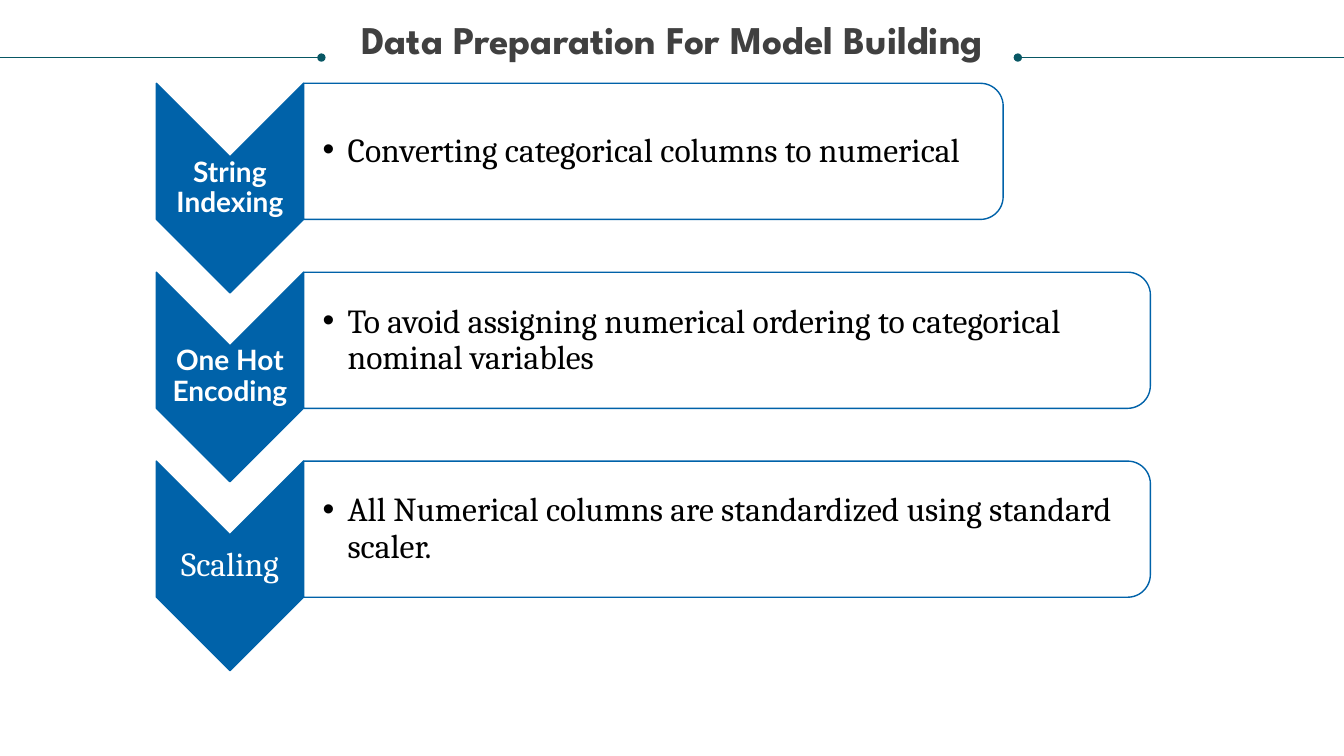
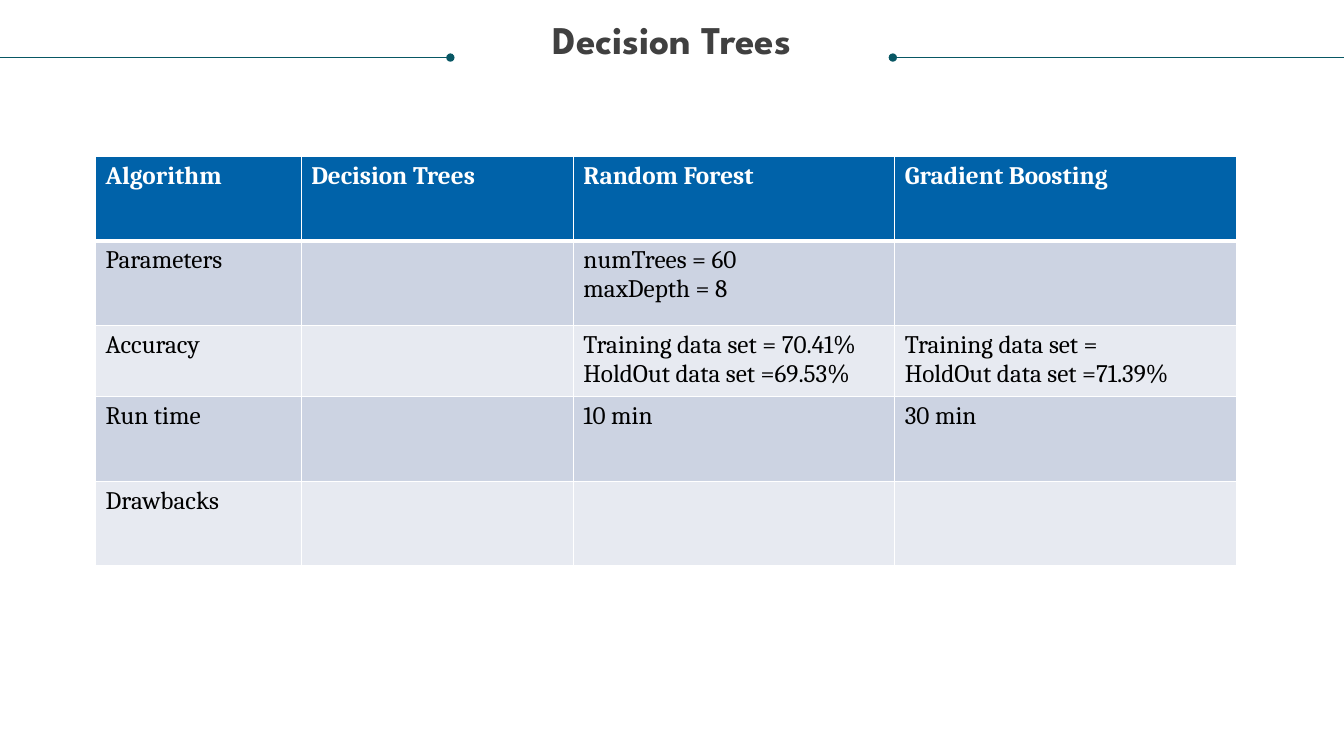
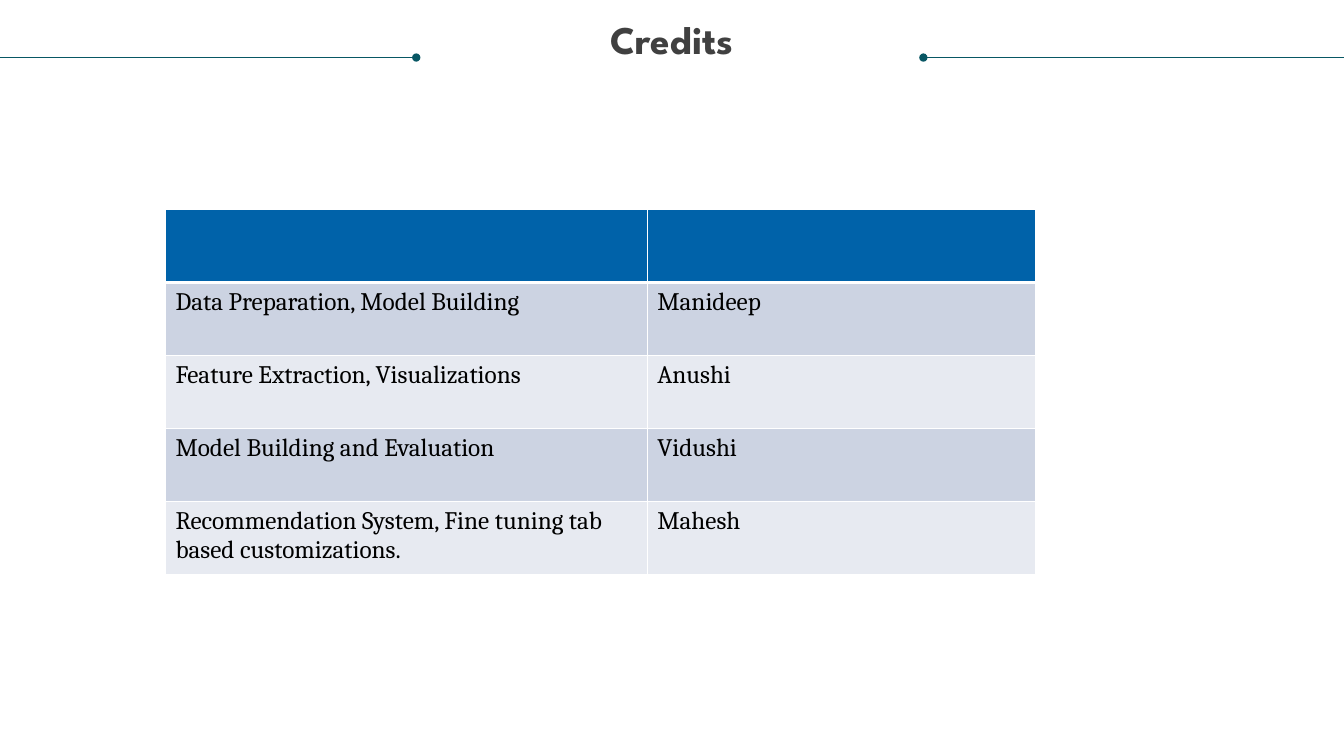
"""Build three slides on model preparation, tree models and credits."""
import dataclasses

import lxml.etree
import pptx
import pptx.dml.color
import pptx.enum.shapes
import pptx.enum.text
import pptx.oxml.ns
import pptx.presentation
import pptx.shapes.autoshape
import pptx.slide
import pptx.table
import pptx.text.text
import pptx.util

Cm = pptx.util.Cm
Pt = pptx.util.Pt
ShapeType = pptx.enum.shapes.MSO_SHAPE
Align = pptx.enum.text.PP_ALIGN
Anchor = pptx.enum.text.MSO_ANCHOR
qn = pptx.oxml.ns.qn

BLUE, TEAL, GREY = "0062A9", "085764", "404040"
WHITE, BLACK = "FFFFFF", "000000"
BANDS = ("CCD3E2", "E7EAF1")
BODY_FONT, LABEL_FONT, TITLE_FONT = "Cambria", "Lato", "League Spartan"
SLIDE_WIDTH, SLIDE_HEIGHT = 33.87, 19.05
RULE_TOP = 1.45


@dataclasses.dataclass(frozen=True)
class Box:
    """Visible frame in centimetres."""
    left: float
    top: float
    width: float
    height: float

    def lengths(self) -> tuple[pptx.util.Length, ...]:
        """Return the frame as slide lengths."""
        return Cm(self.left), Cm(self.top), Cm(self.width), Cm(self.height)


@dataclasses.dataclass(frozen=True)
class Style:
    """Look of a piece of text."""
    font: str
    size: float
    color: str
    bold: bool = False


@dataclasses.dataclass(frozen=True)
class Step:
    """One chevron with its explanation panel."""
    label: str
    label_style: Style
    detail: str
    panel_width: float


@dataclasses.dataclass(frozen=True)
class TableSpec:
    """Place, column widths, row heights and texts of a table."""
    left: float
    top: float
    columns: tuple[float, ...]
    rows: tuple[float, ...]
    texts: tuple[tuple[str, ...], ...]


TITLE = Style(TITLE_FONT, 28, GREY, True)
LABEL = Style(LABEL_FONT, 20, WHITE, True)
LARGE_LABEL = Style(BODY_FONT, 24, WHITE)
DETAIL = Style(BODY_FONT, 24, BLACK)
HEADER_CELL = Style(BODY_FONT, 18, WHITE, True)
BODY_CELL = Style(BODY_FONT, 18, BLACK)

STEPS = (
    Step("String Indexing", LABEL,
         "Converting categorical columns to numerical", 17.63),
    Step("One Hot Encoding", LABEL,
         "To avoid assigning numerical ordering to categorical nominal variables", 21.34),
    Step("Scaling", LARGE_LABEL,
         "All Numerical columns are standardized using standard scaler.", 21.34),
)
STEP_LEFT, STEP_TOP, STEP_PITCH = 3.94, 2.1, 4.76
CHEVRON_WIDTH, CHEVRON_HEIGHT = 3.71, 5.28
LABEL_HEIGHT, PANEL_HEIGHT, PANEL_INSET = 1.6, 3.43, 0.15

ALGORITHMS = TableSpec(
    2.41, 3.94, (5.18, 6.86, 8.1, 8.61), (2.13, 2.13, 1.8, 2.13, 2.13),
    (
        ("Algorithm", "Decision Trees", "Random Forest", "Gradient Boosting"),
        ("Parameters", "", "numTrees = 60\nmaxDepth = 8", ""),
        ("Accuracy", "",
         "Training data set = 70.41%\nHoldOut data set =69.53%",
         "Training data set =\nHoldOut data set =71.39%"),
        ("Run time", "", "10 min", "30 min"),
        ("Drawbacks", "", "", ""),
    ))
CREDITS = TableSpec(
    4.17, 5.28, (12.14, 9.78), (1.84,) * 5,
    (
        ("", ""),
        ("Data Preparation, Model Building", "Manideep"),
        ("Feature Extraction, Visualizations", "Anushi"),
        ("Model Building and Evaluation", "Vidushi"),
        ("Recommendation System, Fine tuning tab based customizations.", "Mahesh"),
    ))


def rgb(color: str) -> pptx.dml.color.RGBColor:
    """Turn a hex string into a colour."""
    return pptx.dml.color.RGBColor.from_string(color)


def format_runs(text_frame: pptx.text.text.TextFrame, style: Style) -> None:
    """Apply a style to every run of a text frame."""
    for paragraph in text_frame.paragraphs:
        for run in paragraph.runs:
            run.font.name = style.font
            run.font.size = Pt(style.size)
            run.font.bold = style.bold
            run.font.color.rgb = rgb(style.color)


def add_text(slide: pptx.slide.Slide, box: Box, text: str, style: Style,
             anchor: Anchor = Anchor.MIDDLE, align: Align = Align.CENTER,
             margin: float = 0, left_margin: float = 0) -> pptx.text.text._Paragraph:
    """Add a wrapped text box and return its paragraph."""
    text_frame = slide.shapes.add_textbox(*box.lengths()).text_frame
    text_frame.word_wrap = True
    text_frame.vertical_anchor = anchor
    text_frame.margin_left = Cm(left_margin or margin)
    text_frame.margin_right = text_frame.margin_top = text_frame.margin_bottom = Cm(margin)
    text_frame.text = text
    paragraph = text_frame.paragraphs[0]
    paragraph.alignment = align
    paragraph.line_spacing = 0.9
    format_runs(text_frame, style)
    return paragraph


def add_bullet(paragraph: pptx.text.text._Paragraph, indent: float) -> None:
    """Give a paragraph a round bullet with a hanging indent."""
    properties = paragraph._p.get_or_add_pPr()
    properties.set("marL", str(Cm(indent)))
    properties.set("indent", str(-Cm(indent)))
    lxml.etree.SubElement(properties, qn("a:buFont")).set("typeface", "Arial")
    lxml.etree.SubElement(properties, qn("a:buChar")).set("char", "\u2022")


def add_rule(slide: pptx.slide.Slide, edge: float, inner: float) -> None:
    """Draw a title rule from a slide edge to a dot beside the title."""
    rule = slide.shapes.add_connector(
        pptx.enum.shapes.MSO_CONNECTOR.STRAIGHT,
        Cm(edge), Cm(RULE_TOP), Cm(inner), Cm(RULE_TOP))
    rule.line.color.rgb = rgb(TEAL)
    rule.line.width = Pt(0.5)
    lxml.etree.SubElement(rule.line._get_or_add_ln(), qn("a:tailEnd")).set("type", "oval")
    lxml.etree.SubElement(rule._element.spPr, qn("a:effectLst"))


def add_titled_slide(presentation: pptx.presentation.Presentation, title: str,
                     left_end: float, right_end: float) -> pptx.slide.Slide:
    """Add a blank slide with its title between two rules."""
    slide = presentation.slides.add_slide(presentation.slide_layouts[6])
    add_rule(slide, SLIDE_WIDTH, right_end)
    add_text(slide, Box(0.64, 0.53, 32.59, 1.07), title, TITLE, Anchor.TOP)
    add_rule(slide, 0, left_end)
    return slide


def add_turned_shape(slide: pptx.slide.Slide, kind: ShapeType, box: Box,
                     fill: str) -> pptx.shapes.autoshape.Shape:
    """Add a shape turned a quarter clockwise that fills the visible box."""
    shift = (box.width - box.height) / 2
    unturned = Box(box.left + shift, box.top - shift, box.height, box.width)
    shape = slide.shapes.add_shape(kind, *unturned.lengths())
    shape.rotation = 90
    shape.shadow.inherit = False
    shape.fill.solid()
    shape.fill.fore_color.rgb = rgb(fill)
    shape.line.color.rgb = rgb(BLUE)
    shape.line.width = Pt(1)
    return shape


def add_step(slide: pptx.slide.Slide, step: Step, top: float) -> None:
    """Draw a chevron, its label and the panel beside it."""
    chevron = Box(STEP_LEFT, top, CHEVRON_WIDTH, CHEVRON_HEIGHT)
    add_turned_shape(slide, ShapeType.CHEVRON, chevron, BLUE)
    label_top = top + (CHEVRON_HEIGHT - LABEL_HEIGHT) / 2
    label = Box(STEP_LEFT, label_top, CHEVRON_WIDTH, LABEL_HEIGHT)
    add_text(slide, label, step.label, step.label_style, margin=0.03)

    panel = Box(STEP_LEFT + CHEVRON_WIDTH, top, step.panel_width, PANEL_HEIGHT)
    add_turned_shape(slide, ShapeType.ROUND_2_SAME_RECTANGLE, panel, WHITE)
    detail = Box(panel.left, top + PANEL_INSET, panel.width - PANEL_INSET,
                 PANEL_HEIGHT - 2 * PANEL_INSET)
    paragraph = add_text(slide, detail, step.detail, DETAIL, align=Align.LEFT,
                         margin=0.05, left_margin=0.48)
    add_bullet(paragraph, 0.63)


def set_borders(cell: pptx.table._Cell, widths: dict[str, float]) -> None:
    """Give a cell white borders, with a width in points for each side."""
    properties = cell._tc.get_or_add_tcPr()
    for side, width in widths.items():
        line = lxml.etree.SubElement(properties, qn(f"a:ln{side}"), w=str(Pt(width)))
        fill = lxml.etree.SubElement(line, qn("a:solidFill"))
        lxml.etree.SubElement(fill, qn("a:srgbClr"), val=WHITE)


def add_banded_table(slide: pptx.slide.Slide, table_spec: TableSpec) -> None:
    """Add a table with a blue header and two alternating row colours."""
    box = Box(table_spec.left, table_spec.top, sum(table_spec.columns), sum(table_spec.rows))
    table = slide.shapes.add_table(
        len(table_spec.rows), len(table_spec.columns), *box.lengths()).table
    table.horz_banding = False
    for column, width in zip(table.columns, table_spec.columns):
        column.width = Cm(width)
    for row_index, (row, height) in enumerate(zip(table.rows, table_spec.rows)):
        row.height = Cm(height)
        header = row_index == 0
        widths = {"L": 1, "R": 1, "T": 3 if row_index == 1 else 1, "B": 3 if header else 1}
        for cell, text in zip(row.cells, table_spec.texts[row_index]):
            set_borders(cell, widths)
            cell.fill.solid()
            cell.fill.fore_color.rgb = rgb(BLUE if header else BANDS[(row_index - 1) % 2])
            cell.text_frame.text = text
            format_runs(cell.text_frame, HEADER_CELL if header else BODY_CELL)


def main() -> None:
    """Build and save the presentation."""
    presentation = pptx.Presentation()
    presentation.slide_width = Cm(SLIDE_WIDTH)
    presentation.slide_height = Cm(SLIDE_HEIGHT)

    preparation = add_titled_slide(
        presentation, "Data Preparation For Model Building", 8.1, 25.65)
    for index, step in enumerate(STEPS):
        add_step(preparation, step, STEP_TOP + index * STEP_PITCH)

    trees = add_titled_slide(presentation, "Decision Trees", 11.35, 22.5)
    add_banded_table(trees, ALGORITHMS)

    credits_slide = add_titled_slide(presentation, "Credits", 10.49, 23.27)
    add_banded_table(credits_slide, CREDITS)

    presentation.save("out.pptx")


main()
